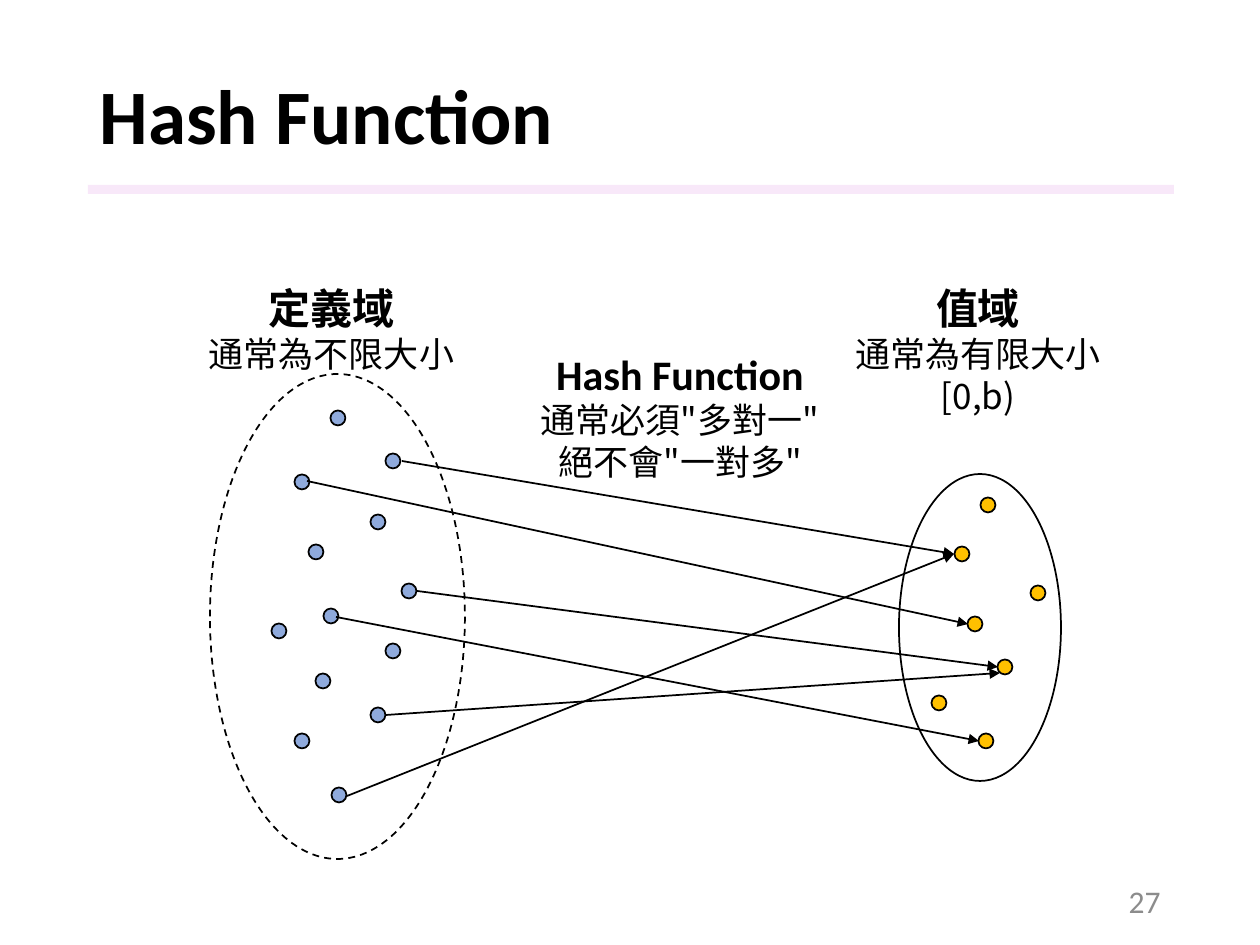
from pptx import Presentation
from pptx.dml.color import RGBColor as Rgb
from pptx.enum.dml import MSO_LINE_DASH_STYLE as Dash
from pptx.enum.shapes import MSO_CONNECTOR as Connector, MSO_SHAPE as Shape
from pptx.enum.text import MSO_ANCHOR as Anchor, PP_ALIGN as Align
from pptx.oxml.ns import qn
from pptx.util import Pt
from lxml.etree import SubElement

SCALE = 914400 / 126
COLORS = {"ink": "000000", "paper": "FFFFFF", "rule": "F3D2F4", "number": "8C8C8C",
          "domain": "8FAADC", "range": "FFC000"}
LATIN, CJK = "Calibri", "Noto Sans CJK SC"
DOT = 15


def px(*lengths):
    return [round(length * SCALE) for length in lengths]


def write(box, lines, align=Align.CENTER, anchor=Anchor.MIDDLE, color="ink", wrap=True, spacing=None):
    frame = box.text_frame
    frame.word_wrap = wrap
    frame.vertical_anchor = anchor
    for index, (text, size, font, bold) in enumerate(lines):
        para = frame.paragraphs[0] if index == 0 else frame.add_paragraph()
        para.alignment = align
        para.line_spacing = spacing
        span = para.add_run()
        span.text = text
        span.font.size = Pt(size)
        span.font.bold = bold
        span.font.name = font
        span.font.color.rgb = Rgb.from_string(COLORS[color])
        SubElement(span.font._element, qn("a:ea")).set("typeface", font)


deck = Presentation()
deck.slide_width, deck.slide_height = px(1260, 945)
page = deck.slides.add_slide(deck.slide_layouts[5])
shapes = page.shapes

rule = shapes.add_shape(Shape.RECTANGLE, *px(88, 185, 1086, 9))
rule.shadow.inherit = False
rule.fill.solid()
rule.fill.fore_color.rgb = Rgb.from_string(COLORS["rule"])
rule_color = rule.fill._xPr.find(qn("a:solidFill"))[0]
SubElement(rule_color, qn("a:alpha")).set("val", "50000")
rule.line.fill.background()

title = shapes.title
title.left, title.top, title.width, title.height = px(87, 50, 1086, 140)
write(title, [("Hash Function", 44, LATIN, True)], align=Align.LEFT, spacing=0.9)

number = shapes.add_textbox(*px(890, 876, 283, 50))
write(number, [("27", 18, LATIN, False)], align=Align.RIGHT, color="number")

domain_dots = [(338, 418), (302, 482), (378, 522), (316, 552), (331, 616), (279, 631), (323, 681),
               (393, 651), (378, 715), (302, 741), (339, 795), (393, 461), (409, 591)]
range_dots = [(962, 554), (1038, 593), (975, 624), (986, 741), (939, 703), (988, 505), (1005, 667)]
ovals = []
for region, dash, color, dots in [
    ((210, 374, 255, 485), Dash.DASH, "domain", domain_dots),
    ((899, 474, 162, 307), Dash.SOLID, "range", range_dots),
]:
    ovals.append((region, "paper", dash))
    ovals += [((x - DOT / 2, y - DOT / 2, DOT, DOT), color, Dash.SOLID) for x, y in dots]

for place, color, dash in ovals:
    oval = shapes.add_shape(Shape.OVAL, *px(*place))
    oval.shadow.inherit = False
    oval.fill.solid()
    oval.fill.fore_color.rgb = Rgb.from_string(COLORS[color])
    oval.line.color.rgb = Rgb.from_string(COLORS["ink"])
    oval.line.width = Pt(1)
    oval.line.dash_style = dash

mappings = [(402, 461, 954, 554), (417, 591, 998, 667), (386, 715, 1000, 673),
            (347, 796, 954, 554), (336, 617, 979, 741), (307, 481, 968, 624)]
for ends in mappings:
    arrow = shapes.add_connector(Connector.STRAIGHT, *px(*ends))
    arrow.line.color.rgb = Rgb.from_string(COLORS["ink"])
    arrow.line.width = Pt(1)
    SubElement(arrow.line._get_or_add_ln(), qn("a:tailEnd")).set("type", "triangle")
    SubElement(arrow._element.spPr, qn("a:effectLst"))

function_label = shapes.add_textbox(*px(494, 335, 372, 161))
write(function_label, [("Hash Function", 24, LATIN, True),
                       ("通常必須\"多對一\"", 20, CJK, False),
                       ("絕不會\"一對多\"", 20, CJK, False)])

domain_label = shapes.add_textbox(*px(195, 276, 273, 106))
write(domain_label, [("定義域", 24, CJK, True), ("通常為不限大小", 20, CJK, False)],
      anchor=Anchor.TOP, wrap=False)

range_label = shapes.add_textbox(*px(805, 276, 346, 106))
write(range_label, [("值域", 24, CJK, True), ("通常為有限大小", 20, CJK, False), ("[0,b)", 20, CJK, False)],
      anchor=Anchor.TOP, wrap=False)

deck.save("out.pptx")
